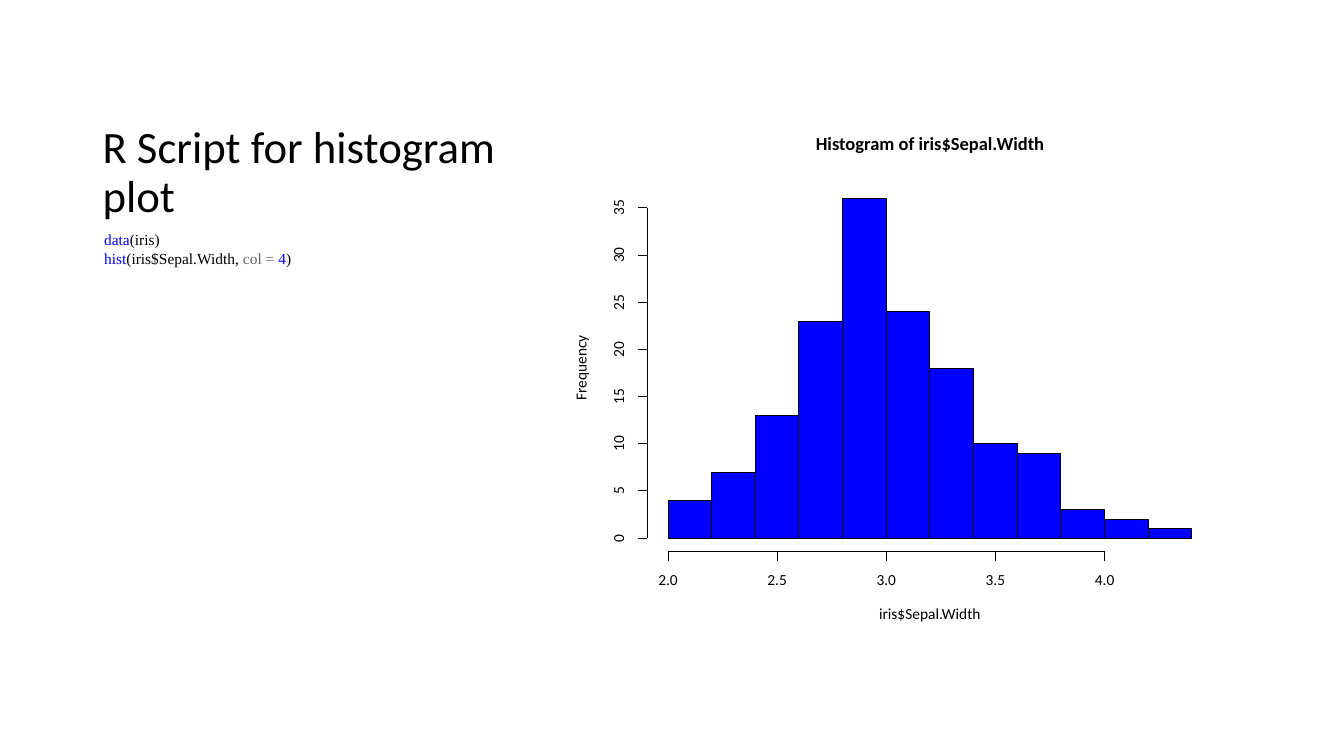
from dataclasses import dataclass

from lxml import etree
from pptx import Presentation
from pptx.dml.color import RGBColor
from pptx.enum.shapes import MSO_CONNECTOR, MSO_SHAPE
from pptx.enum.text import MSO_ANCHOR, PP_ALIGN
from pptx.oxml.ns import qn
from pptx.util import Pt

RECT = MSO_SHAPE.RECTANGLE
STRAIGHT = MSO_CONNECTOR.STRAIGHT
TOP, MIDDLE, BOTTOM = MSO_ANCHOR.TOP, MSO_ANCHOR.MIDDLE, MSO_ANCHOR.BOTTOM
LEFT, CENTER = PP_ALIGN.LEFT, PP_ALIGN.CENTER


@dataclass(frozen=True)
class Theme:
    black: str = "000000"
    blue: str = "0000FF"
    grey: str = "666666"
    sans: str = "Calibri"
    serif: str = "Times New Roman"
    title: float = 32
    heading: float = 13.2
    small: float = 11
    line: float = 0.75


@dataclass(frozen=True)
class Style:
    font: str
    size: float
    bold: bool = False


@dataclass(frozen=True)
class Box:
    left: float
    top: float
    width: float
    height: float


@dataclass(frozen=True)
class Label:
    text: str
    x: float
    y: float
    width: float
    style: Style
    rotation: float = 0


T = Theme()
TITLE = Style(T.sans, T.title)
CODE = Style(T.serif, T.small)
HEADING = Style(T.sans, T.heading, True)
SMALL = Style(T.sans, T.small)

# Histogram data and scales
COUNTS = [4, 7, 13, 23, 36, 24, 18, 10, 9, 3, 2, 1]
BIN, X_MIN = 0.2, 2.0
X_TICKS = [2.0, 2.5, 3.0, 3.5, 4.0]
Y_TICKS = range(0, 36, 5)
PLOT_LEFT, PLOT_BASE = 477.2, 384.4
X_UNIT, Y_UNIT = 155.9, 6.74
X_AXIS_Y, Y_AXIS_X, TICK = 394, 462.4, 6.8
PLOT_MID = PLOT_LEFT + len(COUNTS) * BIN * X_UNIT / 2

prs = Presentation()
prs.slide_width, prs.slide_height = Pt(960), Pt(540)
s = prs.slides.add_slide(prs.slide_layouts[6])


def x_at(value: float) -> float:
    return PLOT_LEFT + (value - X_MIN) * X_UNIT


def y_at(count: float) -> float:
    return PLOT_BASE - count * Y_UNIT


def add_text(box: Box, lines: list, style: Style, frame: dict, para: dict):
    """Add a text box; each line is a list of (text, colour) runs."""
    sp = s.shapes.add_textbox(*map(Pt, (box.left, box.top, box.width, box.height)))
    tf = sp.text_frame
    for name, value in frame.items():
        setattr(tf, name, value)
    for i, runs in enumerate(lines):
        p = tf.add_paragraph() if i else tf.paragraphs[0]
        for name, value in para.items():
            setattr(p, name, value)
        for text, colour in runs:
            r = p.add_run()
            r.text = text
            font = {"name": style.font, "size": Pt(style.size), "bold": style.bold}
            for name, value in font.items():
                setattr(r.font, name, value)
            r.font.color.rgb = RGBColor.from_string(colour)
    return sp


def add_label(label: Label) -> None:
    height = label.style.size * 0.75
    box = Box(label.x - label.width / 2, label.y - height / 2, label.width, height)
    frame = {"word_wrap": False, "vertical_anchor": MIDDLE, "margin_left": 0,
             "margin_right": 0, "margin_top": 0, "margin_bottom": 0}
    para = {"alignment": CENTER, "line_spacing": Pt(label.style.size)}
    sp = add_text(box, [[(label.text, T.black)]], label.style, frame, para)
    sp.rotation = label.rotation


def set_outline(line) -> None:
    line.color.rgb = RGBColor.from_string(T.black)
    line.width = Pt(T.line)


def add_line(x1: float, y1: float, x2: float, y2: float) -> None:
    cn = s.shapes.add_connector(STRAIGHT, Pt(x1), Pt(y1), Pt(x2), Pt(y2))
    set_outline(cn.line)
    etree.SubElement(cn.element.spPr, qn("a:effectLst"))


def add_bar(index: int, count: int) -> None:
    width = BIN * X_UNIT
    sp = s.shapes.add_shape(RECT, Pt(PLOT_LEFT + index * width), Pt(y_at(count)),
                            Pt(width), Pt(count * Y_UNIT))
    sp.shadow.inherit = False
    sp.fill.solid()
    sp.fill.fore_color.rgb = RGBColor.from_string(T.blue)
    set_outline(sp.line)


# Slide title
add_text(Box(66.2, 36, 309.6, 126), [[("R Script for histogram plot", T.black)]], TITLE,
         {"word_wrap": True, "vertical_anchor": BOTTOM},
         {"alignment": LEFT, "line_spacing": 0.9})

# Chart titles
for label in (
    Label("Histogram of iris$Sepal.Width", PLOT_MID, 103.3, 170, HEADING),
    Label("iris$Sepal.Width", PLOT_MID, 439.2, 78, SMALL),
    Label("Frequency", 415.8, 262.8, 52, SMALL, 270),
):
    add_label(label)

# Horizontal axis
add_line(x_at(X_TICKS[0]), X_AXIS_Y, x_at(X_TICKS[-1]), X_AXIS_Y)
for value in X_TICKS:
    x = x_at(value)
    add_line(x, X_AXIS_Y, x, X_AXIS_Y + TICK)
    add_label(Label(f"{value:.1f}", x, 414.7, 18, SMALL))

# Vertical axis
add_line(Y_AXIS_X, y_at(Y_TICKS[0]), Y_AXIS_X, y_at(Y_TICKS[-1]))
for count in Y_TICKS:
    y = y_at(count)
    add_line(Y_AXIS_X, y, Y_AXIS_X - TICK, y)
    add_label(Label(str(count), 442.6, y, 7 * len(str(count)), SMALL, 270))

# Bars
for index, count in enumerate(COUNTS):
    add_bar(index, count)

# R code
CODE_LINES = [
    [("data", T.blue), ("(iris)", T.black)],
    [("hist", T.blue), ("(iris$Sepal.Width, ", T.black), ("col = ", T.grey),
     ("4", T.blue), (")", T.black)],
]
add_text(Box(66.2, 162, 309.6, 300), CODE_LINES, CODE,
         {"word_wrap": True, "vertical_anchor": TOP, "margin_left": Pt(8.2)},
         {"alignment": LEFT, "line_spacing": 0.9,
          "space_before": Pt(1), "space_after": Pt(1)})

prs.save("out.pptx")
